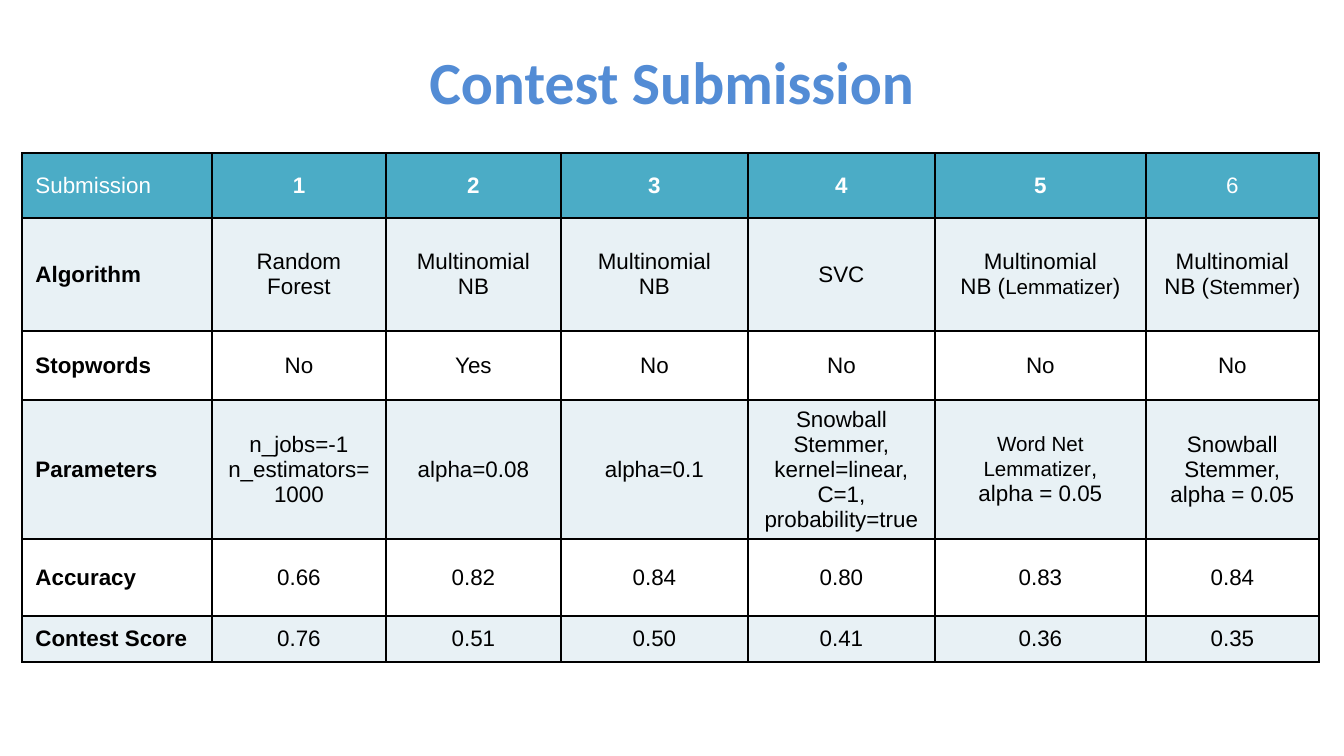
import dataclasses

import lxml.etree
import pptx
import pptx.dml.color
import pptx.enum.text
import pptx.oxml.ns
import pptx.util

PX = 914400 / 134.4


@dataclasses.dataclass(frozen=True)
class Theme:
    title_font: str = "Calibri"
    table_font: str = "Arial"
    title_color: str = "538CD5"
    header_fill: str = "4BACC6"
    band_fill: str = "E8F1F5"
    plain_fill: str = "FFFFFF"
    header_text: str = "FFFFFF"
    body_text: str = "000000"
    border: str = "000000"
    title_size: int = 32
    cell_size: int = 12
    small_size: int = 11
    border_width: int = 1


@dataclasses.dataclass(frozen=True)
class Small:
    text: str


THEME = Theme()
COLUMN_WIDTHS = [190, 174, 175, 187, 187, 211, 173]
ROW_HEIGHTS = [65, 113, 69, 128, 77, 46]

# A cell is a list of paragraphs; a paragraph is a list of runs.
MULTINOMIAL = [["Multinomial"], ["NB"]]
ROWS = [
    ["Submission", "1", "2", "3", "4", "5", "6"],
    ["Algorithm", "Random Forest", MULTINOMIAL, MULTINOMIAL, "SVC",
     [["Multinomial"], ["NB (", Small("Lemmatizer"), ")"]],
     [["Multinomial"], ["NB (", Small("Stemmer"), ")"]]],
    ["Stopwords", "No", "Yes", "No", "No", "No", "No"],
    ["Parameters", "n_jobs=-1 n_estimators=1000", "alpha=0.08", "alpha=0.1",
     [["Snowball Stemmer,"], ["kernel=linear,"], ["C=1, probability=true"]],
     [[Small("Word Net Lemmatizer"), ","], ["alpha = 0.05"]],
     [["Snowball Stemmer,"], ["alpha = 0.05"]]],
    ["Accuracy", "0.66", "0.82", "0.84", "0.80", "0.83", "0.84"],
    ["Contest Score", "0.76", "0.51", "0.50", "0.41", "0.36", "0.35"],
]


def px(length):
    return pptx.util.Emu(round(length * PX))


def rgb(color):
    return pptx.dml.color.RGBColor.from_string(color)


def add_run(paragraph, text, font, size, color, bold):
    run = paragraph.add_run()
    run.text = text
    run.font.name = font
    run.font.size = pptx.util.Pt(size)
    run.font.color.rgb = rgb(color)
    run.font.bold = bold


def add_title(slide, text, left, top, width, height):
    shape = slide.shapes.add_textbox(px(left), px(top), px(width), px(height))
    frame = shape.text_frame
    frame.word_wrap = True
    frame.vertical_anchor = pptx.enum.text.MSO_ANCHOR.MIDDLE
    paragraph = frame.paragraphs[0]
    paragraph.alignment = pptx.enum.text.PP_ALIGN.CENTER
    add_run(paragraph, text, THEME.title_font, THEME.title_size,
            THEME.title_color, True)


def set_borders(cell):
    properties = cell._tc.get_or_add_tcPr()
    qn = pptx.oxml.ns.qn
    for side in ("a:lnL", "a:lnR", "a:lnT", "a:lnB"):
        line = lxml.etree.SubElement(properties, qn(side))
        line.set("w", str(pptx.util.Pt(THEME.border_width)))
        fill = lxml.etree.SubElement(line, qn("a:solidFill"))
        lxml.etree.SubElement(fill, qn("a:srgbClr")).set("val", THEME.border)


def fill_cell(cell, content, fill, color, bold, centered):
    set_borders(cell)
    cell.fill.solid()
    cell.fill.fore_color.rgb = rgb(fill)
    cell.vertical_anchor = pptx.enum.text.MSO_ANCHOR.MIDDLE
    align = pptx.enum.text.PP_ALIGN
    frame = cell.text_frame
    paragraphs = [[content]] if isinstance(content, str) else content
    for index, runs in enumerate(paragraphs):
        paragraph = frame.add_paragraph() if index else frame.paragraphs[0]
        paragraph.alignment = align.CENTER if centered else align.LEFT
        for run in runs:
            small = isinstance(run, Small)
            add_run(paragraph, run.text if small else run, THEME.table_font,
                    THEME.small_size if small else THEME.cell_size, color, bold)


def add_results_table(slide, left, top):
    frame = slide.shapes.add_table(
        len(ROWS), len(COLUMN_WIDTHS), px(left), px(top),
        px(sum(COLUMN_WIDTHS)), px(sum(ROW_HEIGHTS)))
    table = frame.table
    table.first_row = False
    table.horz_banding = False
    for column, width in zip(table.columns, COLUMN_WIDTHS):
        column.width = px(width)
    for row, height in zip(table.rows, ROW_HEIGHTS):
        row.height = px(height)
    last = len(COLUMN_WIDTHS) - 1
    for r, contents in enumerate(ROWS):
        header = r == 0
        band = THEME.band_fill if r % 2 else THEME.plain_fill
        for c, content in enumerate(contents):
            # The header is bold between its two ends; below it, only labels are.
            bold = 0 < c < last if header else c == 0
            fill_cell(table.cell(r, c), content,
                      THEME.header_fill if header else band,
                      THEME.header_text if header else THEME.body_text,
                      bold, centered=c > 0)


def main():
    presentation = pptx.Presentation()
    presentation.slide_width = px(1344)
    presentation.slide_height = px(756)
    slide = presentation.slides.add_slide(presentation.slide_layouts[6])
    add_results_table(slide, 22, 153)
    add_title(slide, "Contest Submission", 67, 31, 1210, 100)
    presentation.save("out.pptx")


if __name__ == "__main__":
    main()
